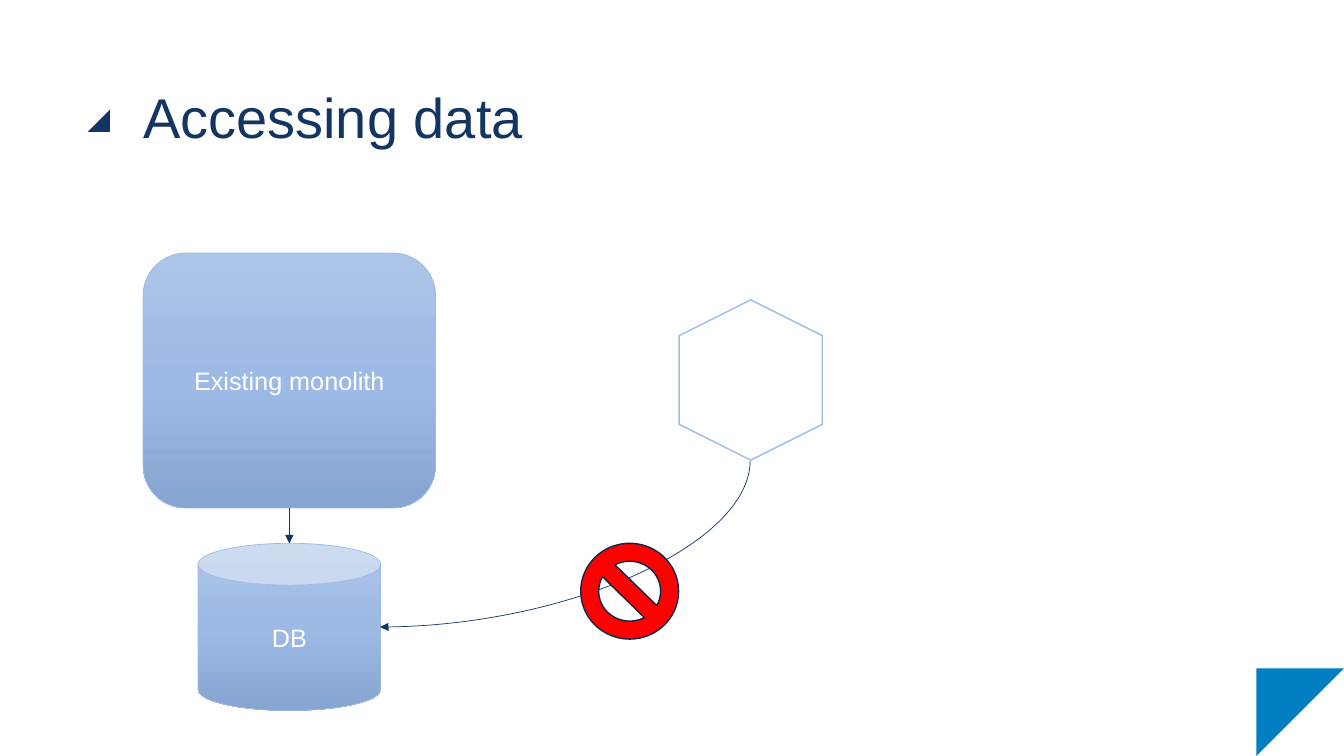
from copy import deepcopy
from lxml.etree import SubElement
from pptx import Presentation
from pptx.dml.color import RGBColor
from pptx.enum.shapes import MSO_CONNECTOR, MSO_SHAPE
from pptx.enum.text import MSO_ANCHOR, PP_ALIGN
from pptx.oxml.ns import qn
from pptx.util import Inches, Pt

C = {"navy": "133561", "blue": "007FC3", "edge": "A0BBE3", "white": "FFFFFF",
     "red": "FF0000", "dark": "0E2748",
     "top": "ACC4E7", "middle": "9DBAE6", "bottom": "87A5D1"}
rgb = {name: RGBColor.from_string(value) for name, value in C.items()}

prs = Presentation()
prs.slide_width, prs.slide_height = Inches(13.33), Inches(7.5)
col, row = prs.slide_width / 100, prs.slide_height / 100
s = prs.slides.add_slide(prs.slide_layouts[6])


def box(x, y, w, h):
    return int(x * col), int(y * row), int(w * col), int(h * row)


def write(sp, text, size, color, align, anchor):
    tf = sp.text_frame
    tf.word_wrap = True
    tf.vertical_anchor = anchor
    p = tf.paragraphs[0]
    p.text = text
    p.alignment = align
    font = p.runs[0].font
    font.name, font.size, font.color.rgb = "Arial", Pt(size), rgb[color]
    return tf


tb = s.shapes.add_textbox(*box(10.65, 10.53, 80.95, 18.93))
tf = write(tb, "Accessing data", 40, "navy", PP_ALIGN.LEFT, MSO_ANCHOR.TOP)
tf.margin_left = tf.margin_top = tf.margin_right = tf.margin_bottom = 0
tf.paragraphs[0].line_spacing = 1.05

for kind, area, text in [
    (MSO_SHAPE.ROUNDED_RECTANGLE, (10.65, 33.47, 21.76, 33.73), "Existing monolith"),
    (MSO_SHAPE.CAN, (14.74, 71.87, 13.58, 22.13), "DB"),
]:
    sp = s.shapes.add_shape(kind, *box(*area))
    sp.shadow.inherit = False
    sp.fill.gradient()
    sp.fill.gradient_angle = 270
    gs = sp._element.spPr.find(".//" + qn("a:gs"))
    gs.addnext(deepcopy(gs))
    for stop, name, pos in zip(sp.fill.gradient_stops, ("top", "middle", "bottom"), (0, 0.5, 1)):
        stop.color.rgb = rgb[name]
        stop.position = pos
    sp.line.color.rgb, sp.line.width = rgb["edge"], Pt(0.5)
    write(sp, text, 18, "white", PP_ALIGN.CENTER, MSO_ANCHOR.MIDDLE)

for kind, x, y, w, h in [
    (MSO_CONNECTOR.STRAIGHT, 21.53, 67.2, 0, 4.67),
    (MSO_CONNECTOR.CURVE, 35.86, 47.47, 12.38, 48.93),
]:
    left, top, width, height = box(x, y, w, h)
    cx = s.shapes.add_connector(kind, left, top, left + width, top + height)
    cx.line.color.rgb, cx.line.width = rgb["navy"], Pt(0.5)
    spPr = cx._element.spPr
    SubElement(spPr.find(qn("a:ln")), qn("a:tailEnd"), type="triangle")
    SubElement(spPr, qn("a:effectLst"))
    if kind == MSO_CONNECTOR.CURVE:
        spPr.find(qn("a:prstGeom")).set("prst", "curvedConnector2")
        spPr.find(qn("a:xfrm")).set("rot", "5400000")

for kind, area, turn, fill, line in [
    (MSO_SHAPE.RIGHT_TRIANGLE, (6.53, 14.53, 1.65, 2.93), 0, "navy", None),
    (MSO_SHAPE.RIGHT_TRIANGLE, (93.47, 88.4, 6.53, 11.6), 90, "blue", None),
    (MSO_SHAPE.HEXAGON, (49.89, 40.8, 11.93, 18.93), 90, "white", "edge"),
    (MSO_SHAPE.NO_SYMBOL, (43.21, 71.87, 7.28, 12.67), 0, "red", "dark"),
]:
    sp = s.shapes.add_shape(kind, *box(*area))
    sp.shadow.inherit = False
    sp.rotation = turn
    sp.fill.solid()
    sp.fill.fore_color.rgb = rgb[fill]
    if line:
        sp.line.color.rgb, sp.line.width = rgb[line], Pt(1)
    else:
        sp.line.fill.background()
    if fill == "navy":
        sp._element.spPr.find(qn("a:xfrm")).set("flipH", "1")

prs.save("out.pptx")
